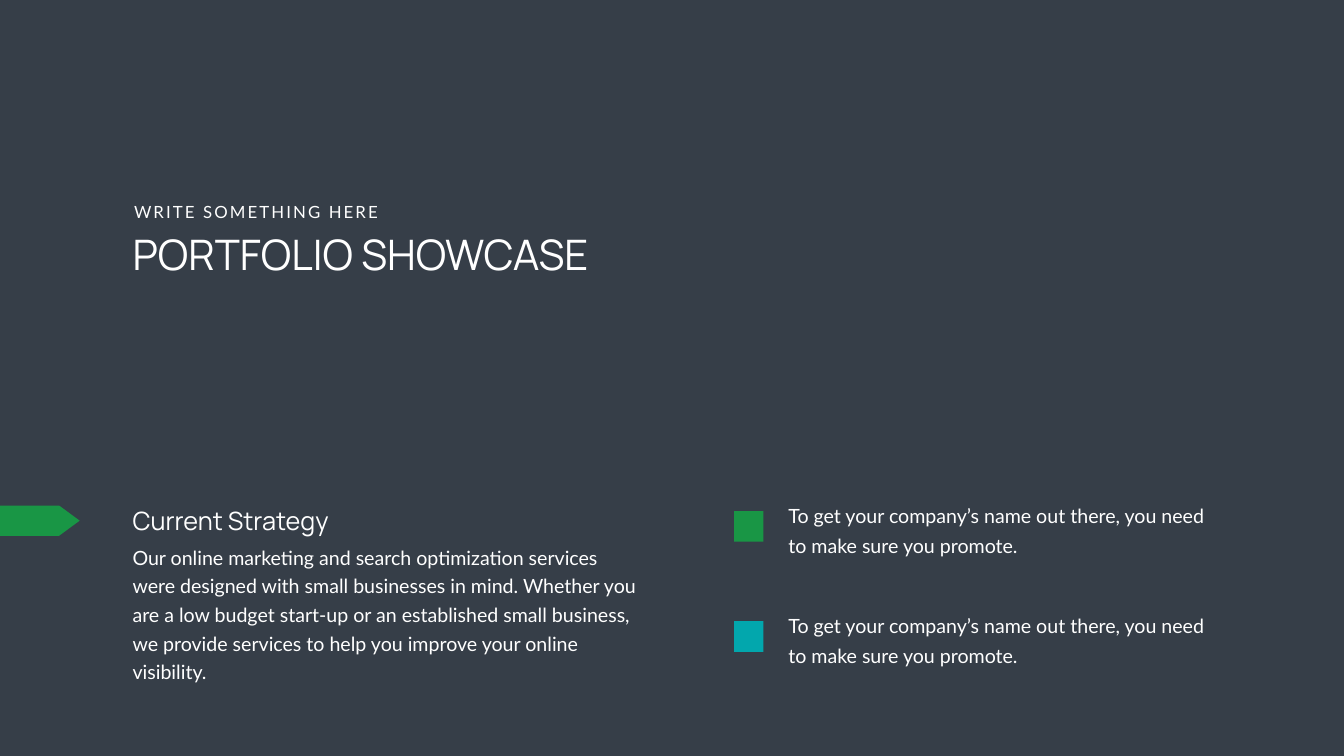
from lxml.etree import SubElement
from pptx import Presentation
from pptx.dml.color import RGBColor
from pptx.enum.shapes import MSO_SHAPE
from pptx.enum.text import MSO_AUTO_SIZE
from pptx.oxml.ns import qn
from pptx.util import Pt

SLATE, WHITE, GREEN, TEAL = "363E48", "FFFFFF", "199645", "02A7AD"
HEADING_FONT, BODY_FONT = "Manrope", "Lato"
SLIDE_SIZE = (1919.5, 1080)

LEFT = 182.2
TITLE = ("PORTFOLIO SHOWCASE", (LEFT, 323.3, 738, 80))
KICKER = ("WRITE SOMETHING HERE", (184.3, 284.4, 370, 36))
STRATEGY_HEADING = ("Current Strategy", (LEFT, 717.8, 319, 51))
STRATEGY = (
    "Our online marketing and search optimization services were designed with "
    "small businesses in mind. Whether you are a low budget start-up or an "
    "established small business, we provide services to help you improve your "
    "online visibility.",
    (LEFT, 769, 738, 168.5),
)
PROMISES = [
    (GREEN, "To get your company’s name out there, you need to make sure you promote."),
    (TEAL, "To get your company’s name out there, you need to make sure you promote."),
]
PROMISE_TOP, PROMISE_PITCH = 706.5, 157.4
MARKER_LEFT, MARKER_DROP, MARKER_SIZE = 1048.3, 23.5, (41.8, 43.9)
PROMISE_LEFT, PROMISE_SIZE = 1118.9, (617.8, 90)


def rgb(value):
    return RGBColor.from_string(value)


def add_block(slide, preset, box, color, opacity=None):
    shape = slide.shapes.add_shape(preset, *map(Pt, box))
    shape.shadow.inherit = False
    shape.fill.solid()
    shape.fill.fore_color.rgb = rgb(color)
    shape.line.fill.background()
    if opacity is not None:
        fill_color = shape.fill._xPr.find(".//" + qn("a:srgbClr"))
        SubElement(fill_color, qn("a:alpha"), val=str(opacity * 1000))
    return shape


def add_text(slide, text, box, font, size, line=None, wrap=True, tracking=None):
    frame = slide.shapes.add_textbox(*map(Pt, box)).text_frame
    frame.word_wrap = wrap
    frame.auto_size = MSO_AUTO_SIZE.SHAPE_TO_FIT_TEXT
    paragraph = frame.paragraphs[0]
    paragraph.text = text
    paragraph.font.name = font
    paragraph.font.size = Pt(size)
    paragraph.font.color.rgb = rgb(WHITE)
    if line:
        paragraph.line_spacing = Pt(line)
    if tracking:
        paragraph.runs[0].font._element.set("spc", str(tracking * 100))


def main():
    presentation = Presentation()
    presentation.slide_width, presentation.slide_height = map(Pt, SLIDE_SIZE)
    slide = presentation.slides.add_slide(presentation.slide_layouts[6])
    slide.background.fill.solid()
    slide.background.fill.fore_color.rgb = rgb(SLATE)

    add_block(slide, MSO_SHAPE.RECTANGLE, (95.8, 95, 1728.7, 498.2), SLATE, opacity=80)
    add_text(slide, *TITLE, HEADING_FONT, 60)
    add_text(slide, *KICKER, BODY_FONT, 24, wrap=False, tracking=3)
    add_text(slide, *STRATEGY, BODY_FONT, 28, line=40.8)
    add_text(slide, *STRATEGY_HEADING, HEADING_FONT, 36, wrap=False)
    arrow = add_block(slide, MSO_SHAPE.PENTAGON, (0, 722.2, 113.8, 43.2), GREEN)
    arrow.adjustments[0] = 0.68

    for index, (color, text) in enumerate(PROMISES):
        top = PROMISE_TOP + index * PROMISE_PITCH
        marker = (MARKER_LEFT, top + MARKER_DROP, *MARKER_SIZE)
        add_block(slide, MSO_SHAPE.RECTANGLE, marker, color)
        add_text(slide, text, (PROMISE_LEFT, top, *PROMISE_SIZE), BODY_FONT, 28, line=43)

    presentation.save("out.pptx")


if __name__ == "__main__":
    main()
